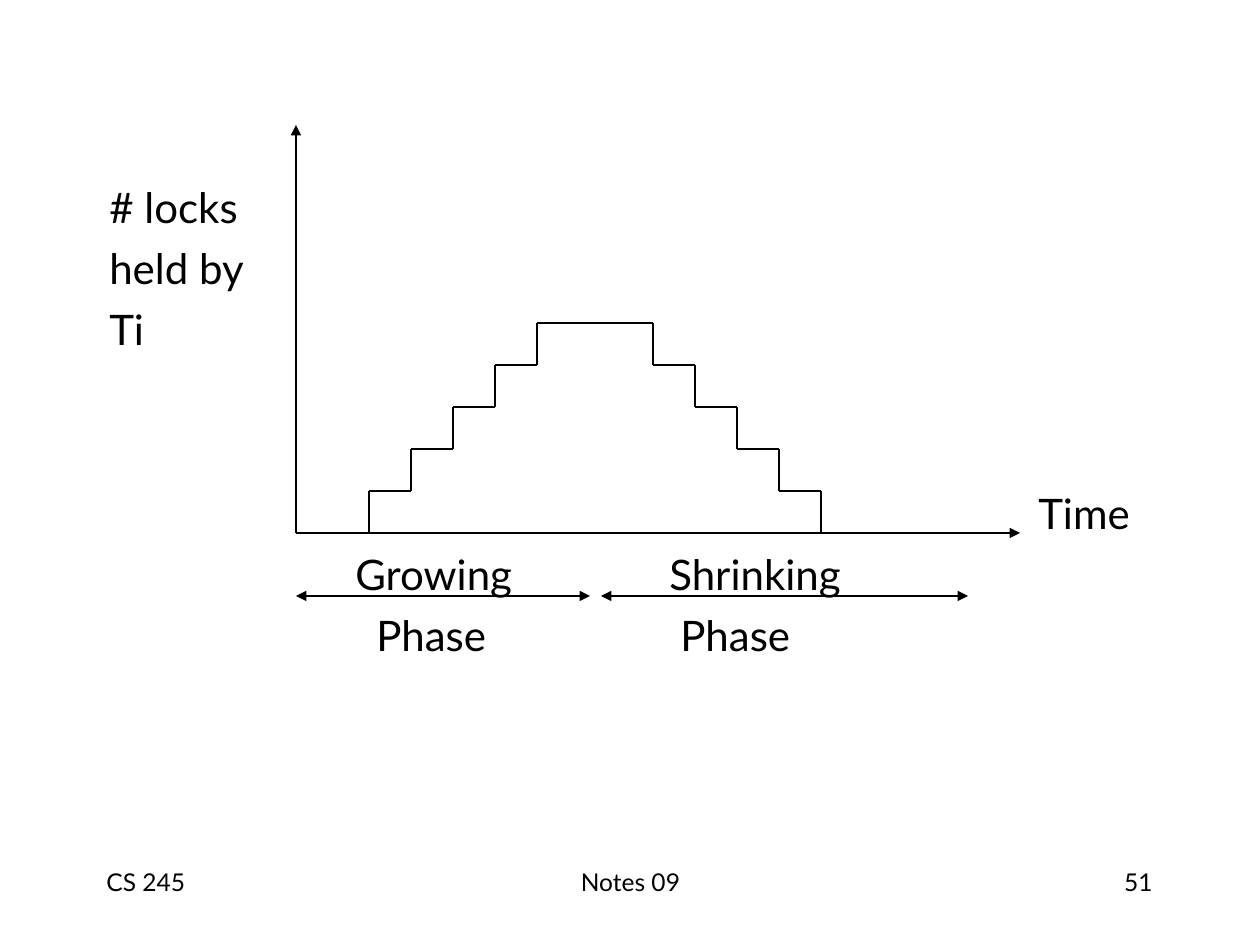
"""Build a slide that plots locks held over time in two-phase locking."""
from dataclasses import dataclass
from itertools import pairwise

from lxml.etree import SubElement
from pptx import Presentation
from pptx.dml.color import RGBColor
from pptx.enum.shapes import MSO_CONNECTOR
from pptx.enum.text import PP_ALIGN
from pptx.oxml.ns import qn
from pptx.util import Pt

PX = 914400 // 126


@dataclass(frozen=True)
class Theme:
    ink: RGBColor = RGBColor(0, 0, 0)
    font: str = "Lato"
    label_size: int = 24
    footer_size: int = 14
    line_width: float = 0.75


theme = Theme()
presentation = Presentation()
presentation.slide_width = 1260 * PX
presentation.slide_height = 945 * PX
slide = presentation.slides.add_slide(presentation.slide_layouts[6])


def add_text(box, text, size, alignment=PP_ALIGN.LEFT, last_indent=0):
    shape = slide.shapes.add_textbox(*(length * PX for length in box))
    shape.text_frame.word_wrap = True
    shape.text_frame.text = text
    for number, paragraph in enumerate(shape.text_frame.paragraphs):
        paragraph.alignment = alignment
        if number:
            paragraph.space_before = Pt(6)
        for run in paragraph.runs:
            run.font.name = theme.font
            run.font.size = Pt(size)
            run.font.color.rgb = theme.ink
    if last_indent:
        paragraph._p.get_or_add_pPr().set("marL", str(last_indent * PX))


def add_line(start, end, *arrow_ends):
    points = (length * PX for length in (*start, *end))
    connector = slide.shapes.add_connector(MSO_CONNECTOR.STRAIGHT, *points)
    connector.line.color.rgb = theme.ink
    connector.line.width = Pt(theme.line_width)
    for arrow_end in arrow_ends:
        SubElement(connector.line._get_or_add_ln(), qn(f"a:{arrow_end}"), type="triangle")
    SubElement(connector._element.spPr, qn("a:effectLst"))


footers = [
    (94, 262, "CS 245", PP_ALIGN.LEFT),
    (431, 399, "Notes 09", PP_ALIGN.CENTER),
    (903, 262, "51", PP_ALIGN.RIGHT),
]
for left, width, text, alignment in footers:
    add_text((left, 861, width, 63), text, theme.footer_size, alignment)

labels = [
    ((97, 175, 190, 186), "# locks\nheld by\nTi", 0),
    ((1026, 481, 140, 63), "Time", 0),
    ((343, 542, 220, 124), "Growing\nPhase", 21),
    ((657, 542, 220, 124), "Shrinking\nPhase", 11),
]
for box, text, last_indent in labels:
    add_text(box, text, theme.label_size, last_indent=last_indent)

origin = (296, 533)
add_line(origin, (1020, 533), "tailEnd")
add_line(origin, (296, 125), "tailEnd")
for left, right in ((296, 590), (601, 968)):
    add_line((left, 596), (right, 596), "headEnd", "tailEnd")

step, step_count = 42, 5
first_lock, last_unlock = 369, 821
growing = []
for level in range(step_count):
    x = first_lock + level * step
    growing += [(x, 533 - level * step), (x, 533 - (level + 1) * step)]
shrinking = [(first_lock + last_unlock - x, y) for x, y in reversed(growing)]
for start, end in pairwise(growing + shrinking):
    add_line(start, end)

presentation.save("out.pptx")
